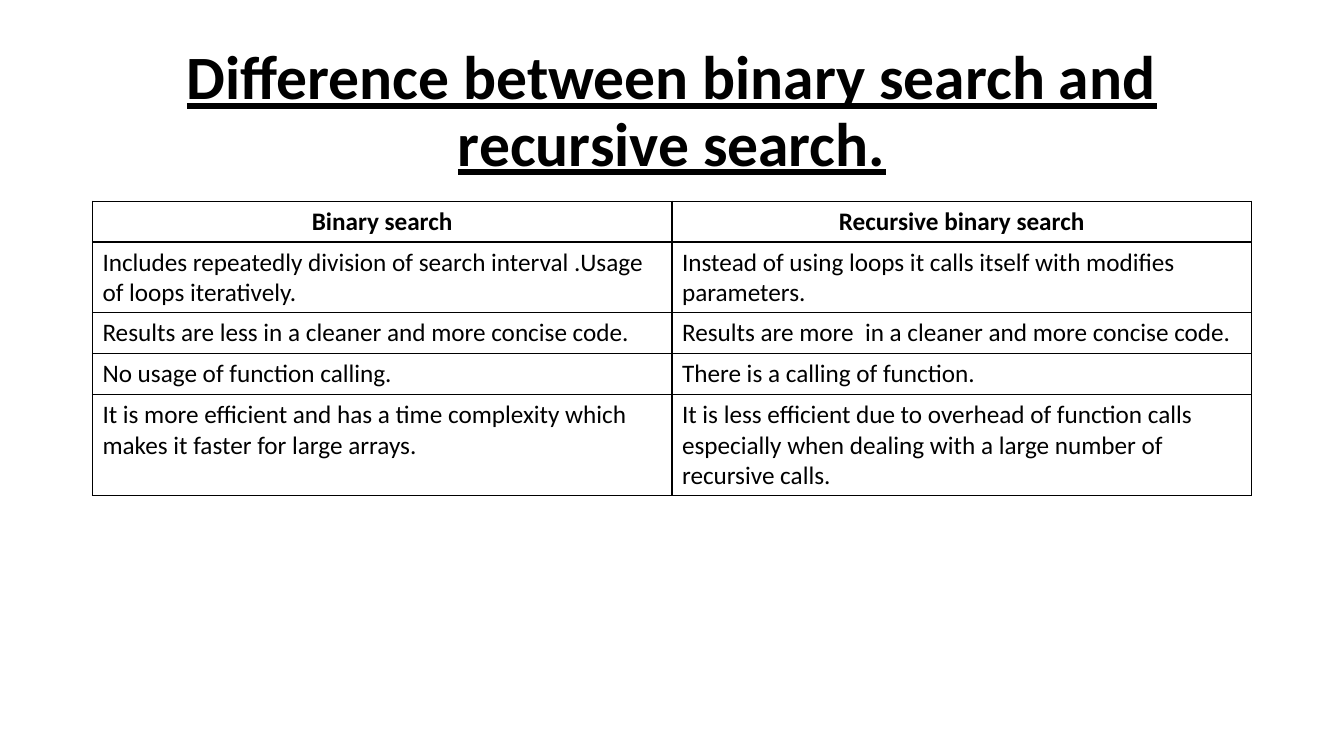
from dataclasses import dataclass

from lxml import etree
from pptx import Presentation
from pptx import util as u
from pptx.dml import color
from pptx.enum import text
from pptx.oxml import ns


@dataclass(frozen=True)
class Theme:
    font: str = "Calibri"
    ink: str = "000000"
    title_size: int = 44
    table_size: int = 18
    border_width: int = 1


@dataclass(frozen=True)
class Comparison:
    binary: str
    recursive: str


THEME = Theme()
LEFT = u.Cm(2.33)
WIDTH = u.Cm(29.21)
ROW_HEIGHT = u.Cm(1.03)
TITLE = "Difference between binary search and recursive search."
COMPARISONS = [
    Comparison("Binary search", "Recursive binary search"),
    Comparison(
        "Includes repeatedly division of search interval .Usage of loops iteratively.",
        "Instead of using loops it calls itself with modifies parameters.",
    ),
    Comparison(
        "Results are less in a cleaner and more concise code.",
        "Results are more  in a cleaner and more concise code.",
    ),
    Comparison("No usage of function calling.", "There is a calling of function."),
    Comparison(
        "It is more efficient and has a time complexity which makes it faster for large arrays.",
        "It is less efficient due to overhead of function calls especially when dealing "
        "with a large number of recursive calls.",
    ),
]


def write(text_frame, content: str, size: int, heading: bool, underline: bool = False) -> None:
    text_frame.text = content
    paragraph = text_frame.paragraphs[0]
    paragraph.alignment = text.PP_ALIGN.CENTER if heading else text.PP_ALIGN.LEFT
    font = paragraph.runs[0].font
    font.name = THEME.font
    font.size = u.Pt(size)
    font.bold = heading
    font.underline = underline
    font.color.rgb = color.RGBColor.from_string(THEME.ink)


def add_borders(cell) -> None:
    properties = cell._tc.get_or_add_tcPr()
    for side in ("lnL", "lnR", "lnT", "lnB"):
        line = etree.SubElement(properties, ns.qn(f"a:{side}"), w=str(u.Pt(THEME.border_width)))
        fill = etree.SubElement(line, ns.qn("a:solidFill"))
        etree.SubElement(fill, ns.qn("a:srgbClr"), val=THEME.ink)


def add_title(slide) -> None:
    shape = slide.shapes.add_textbox(LEFT, u.Cm(1.01), WIDTH, u.Cm(3.68))
    text_frame = shape.text_frame
    text_frame.word_wrap = True
    text_frame.vertical_anchor = text.MSO_ANCHOR.MIDDLE
    write(text_frame, TITLE, THEME.title_size, heading=True, underline=True)
    text_frame.paragraphs[0].line_spacing = 0.9


def add_comparison_table(slide) -> None:
    row_count = len(COMPARISONS)
    frame = slide.shapes.add_table(
        row_count, 2, LEFT, u.Cm(5.07), WIDTH, ROW_HEIGHT * row_count
    )
    table = frame.table
    table.first_row = False
    table.horz_banding = False
    for row_index, comparison in enumerate(COMPARISONS):
        for column_index, content in enumerate((comparison.binary, comparison.recursive)):
            cell = table.cell(row_index, column_index)
            write(cell.text_frame, content, THEME.table_size, heading=row_index == 0)
            add_borders(cell)
            cell.fill.background()
    frame.height = u.Cm(7.42)


def main() -> None:
    presentation = Presentation()
    presentation.slide_width = u.Cm(33.87)
    presentation.slide_height = u.Cm(19.05)
    slide = presentation.slides.add_slide(presentation.slide_layouts[6])
    add_title(slide)
    add_comparison_table(slide)
    presentation.save("out.pptx")


if __name__ == "__main__":
    main()
